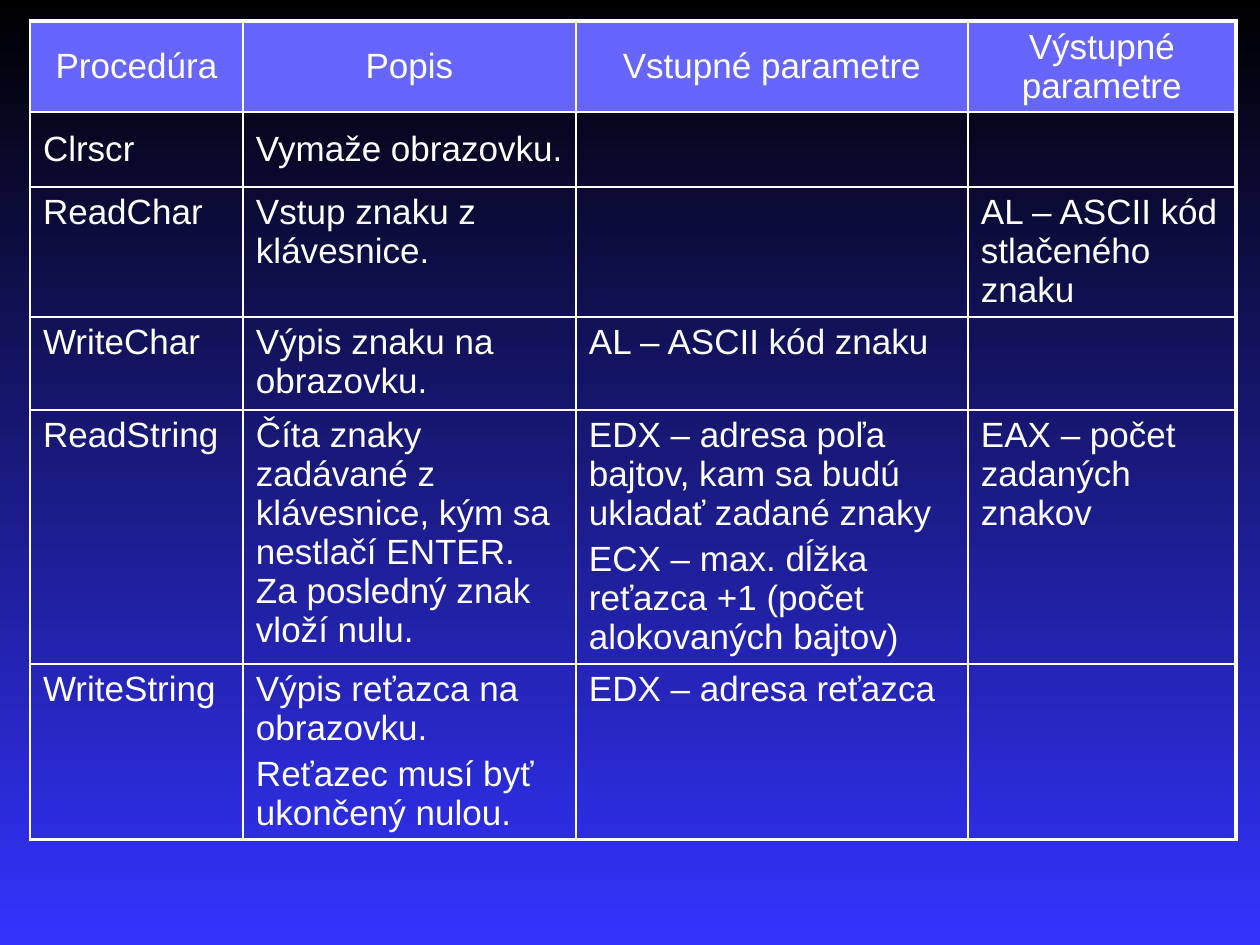
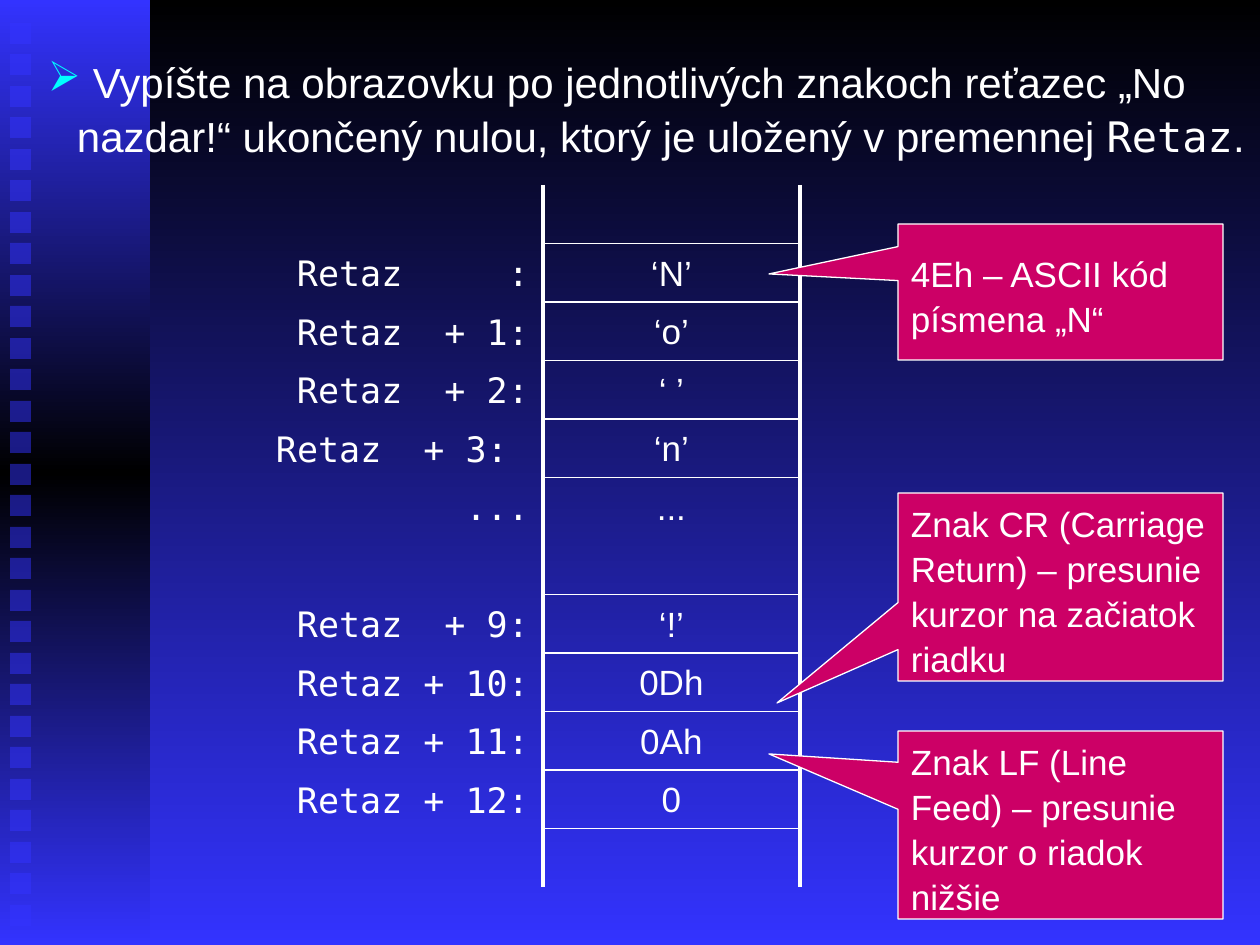
from dataclasses import dataclass
from typing import NamedTuple

from pptx import Presentation
from pptx.dml.color import RGBColor
from pptx.enum.shapes import MSO_SHAPE as Preset
from pptx.enum.text import MSO_ANCHOR as Anchor, PP_ALIGN as Align
from pptx.oxml import parse_xml
from pptx.oxml.ns import nsdecls, qn
from pptx.util import Emu, Pt

EMU_PER_PX = 914400 // 126
SLIDE_W, SLIDE_H = 1260, 945

BLACK, WHITE, BLUE = "000000", "FFFFFF", "3333FF"
HEADER_BLUE, MAGENTA, CYAN = "6666FF", "CC0066", "00FFFF"
SANS, MONO = "Arial", "DejaVu Sans Mono"
THIN, THICK = 1, 2.25
INSETS = (13, 11, 13, 6)
CELL_INSETS = (13, 6, 13, 6)
LOOSE_LINES = 1.07


class Span(NamedTuple):
    text: str
    font: str = SANS


class Borders(NamedTuple):
    left: float = 0
    right: float = 0
    top: float = 0
    bottom: float = 0


@dataclass
class Callout:
    text: str
    top: int
    height: int
    tip: tuple[int, int]


@dataclass
class MemoryRow:
    label: str = ""
    value: str = ""
    shift: int = 0
    closed: bool = True


# Content
HEADINGS = ["Procedúra", "Popis", "Vstupné parametre", "Výstupné parametre"]
PROCEDURES = [
    ["Clrscr", "Vymaže obrazovku.", "", ""],
    ["ReadChar", "Vstup znaku z klávesnice.", "", "AL – ASCII kód stlačeného znaku"],
    ["WriteChar", "Výpis znaku na obrazovku.", "AL – ASCII kód znaku", ""],
    ["ReadString",
     "Číta znaky zadávané z klávesnice, kým sa nestlačí ENTER. Za posledný znak vloží nulu.",
     "EDX – adresa poľa bajtov, kam sa budú ukladať zadané znaky\n"
     "ECX – max. dĺžka reťazca +1 (počet alokovaných bajtov)",
     "EAX – počet zadaných znakov"],
    ["WriteString", "Výpis reťazca na obrazovku.\nReťazec musí byť ukončený nulou.",
     "EDX – adresa reťazca", ""],
]
PROCEDURE_COLS = [213, 333, 392, 268]
PROCEDURE_ROWS = [91, 75, 130, 93, 254, 176]

TASK = [
    Span(" Vypíšte na obrazovku po jednotlivých znakoch reťazec „No nazdar!“ "
         "ukončený nulou, ktorý je uložený v premennej "),
    Span("Retaz", MONO),
    Span("."),
]
MEMORY = [
    MemoryRow(),
    MemoryRow("Retaz\t:", "‘N’"),
    MemoryRow("Retaz\t+ 1:", "‘o’"),
    MemoryRow("Retaz\t+ 2:", "‘ ’"),
    MemoryRow("Retaz\t+ 3:", "‘n’", shift=-21),
    MemoryRow("\t...", "...", closed=False),
    MemoryRow(),
    MemoryRow("Retaz\t+ 9:", "‘!’"),
    MemoryRow("Retaz\t+ 10:", "0Dh"),
    MemoryRow("Retaz\t+ 11:", "0Ah"),
    MemoryRow("Retaz\t+ 12:", "0"),
    MemoryRow(closed=False),
]
CALLOUTS = [
    Callout("4Eh – ASCII kód písmena „N“", 224, 136, (769, 274)),
    Callout("Znak CR (Carriage Return) – presunie kurzor na začiatok riadku",
            493, 188, (777, 703)),
    Callout("Znak LF (Line Feed) – presunie kurzor o riadok nižšie",
            731, 188, (769, 754)),
]


# Helpers
def px(length: int) -> Emu:
    return Emu(length * EMU_PER_PX)


def colour(hex_code: str) -> RGBColor:
    return RGBColor.from_string(hex_code)


def write(frame, content, *, size=20, font=SANS, color=WHITE, align=Align.LEFT,
          line_spacing=None, space_before=4, bullet=None, hanging=0, right_tab=0):
    """Fill a text frame from a string (one paragraph a line) or a list of spans."""
    if isinstance(content, str):
        paragraphs = [[Span(line, font)] for line in content.split("\n")]
    else:
        paragraphs = [content]
    for index, spans in enumerate(paragraphs):
        paragraph = frame.add_paragraph() if index else frame.paragraphs[0]
        paragraph.alignment = align
        if line_spacing:
            paragraph.line_spacing = line_spacing
        if index:
            paragraph.space_before = Pt(space_before)
        props = paragraph._p.get_or_add_pPr()
        if bullet:
            props.set("marL", str(px(hanging)))
            props.set("indent", str(-px(hanging)))
            props.append(parse_xml(
                f'<a:buClr {nsdecls("a")}><a:srgbClr val="{CYAN}"/></a:buClr>'))
            props.append(parse_xml(f'<a:buChar {nsdecls("a")} char="{bullet}"/>'))
        if right_tab:
            props.append(parse_xml(
                f'<a:tabLst {nsdecls("a")}><a:tab pos="{px(right_tab)}" algn="r"/></a:tabLst>'))
        for span in spans:
            run = paragraph.add_run()
            run.text = span.text
            run.font.size = Pt(size)
            run.font.name = span.font
            run.font.color.rgb = colour(color)


def set_insets(holder, insets: tuple[int, int, int, int]) -> None:
    for side, length in zip(("left", "top", "right", "bottom"), insets):
        setattr(holder, f"margin_{side}", px(length))


def set_gradient(fill, owner, colours: list[str]) -> None:
    """Spread the colours evenly from top to bottom."""
    fill.solid()
    solid = next(owner.iter(qn("a:solidFill")))
    step = 100000 // (len(colours) - 1)
    stops = "".join(f'<a:gs pos="{i * step}"><a:srgbClr val="{c}"/></a:gs>'
                    for i, c in enumerate(colours))
    solid.getparent().replace(solid, parse_xml(
        f'<a:gradFill {nsdecls("a")} rotWithShape="1"><a:gsLst>{stops}</a:gsLst>'
        '<a:lin ang="5400000" scaled="0"/></a:gradFill>'))


def set_borders(cell, borders: Borders) -> None:
    props = cell._tc.get_or_add_tcPr()
    for index, (side, width) in enumerate(zip("LRTB", borders)):
        paint = (f'<a:solidFill><a:srgbClr val="{WHITE}"/></a:solidFill>'
                 if width else "<a:noFill/>")
        props.insert(index, parse_xml(
            f'<a:ln{side} {nsdecls("a")} w="{Pt(width)}">{paint}</a:ln{side}>'))


def style_cell(cell, borders: Borders, insets=CELL_INSETS, fill=None) -> None:
    set_insets(cell, insets)
    if fill:
        cell.fill.solid()
        cell.fill.fore_color.rgb = colour(fill)
    else:
        cell.fill.background()
    set_borders(cell, borders)


def add_grid(slide, left: int, top: int, cols: list[int], rows: int, height: int):
    table = slide.shapes.add_table(rows, len(cols), px(left), px(top),
                                   px(sum(cols)), px(height)).table
    table.first_row = table.horz_banding = False
    for column, width in zip(table.columns, cols):
        column.width = px(width)
    return table


def add_block(slide, preset, left: int, top: int, width: int, height: int, fill: str):
    block = slide.shapes.add_shape(preset, px(left), px(top), px(width), px(height))
    block.shadow.inherit = False
    block.fill.solid()
    block.fill.fore_color.rgb = colour(fill)
    block.line.fill.background()
    return block


def new_slide(deck):
    slide = deck.slides.add_slide(deck.slide_layouts[6])
    set_gradient(slide.background.fill, slide.element, [BLACK, BLUE])
    return slide


# Slide parts
def add_side_band(slide) -> None:
    band = add_block(slide, Preset.RECTANGLE, 0, 0, 150, SLIDE_H, BLUE)
    set_gradient(band.fill, band.element, [BLUE, BLACK, BLUE])
    for index in range(29):
        square = add_block(slide, Preset.RECTANGLE, 10, 23 + index * 63 // 2, 21, 21, BLUE)
        tint = next(square.element.iter(qn("a:srgbClr")))
        tint.append(parse_xml(f'<a:alpha {nsdecls("a")} val="50000"/>'))


def add_procedures(slide) -> None:
    grid = add_grid(slide, 30, 21, PROCEDURE_COLS, len(PROCEDURE_ROWS), sum(PROCEDURE_ROWS))
    last_row, last_col = len(PROCEDURE_ROWS) - 1, len(PROCEDURE_COLS) - 1
    for r, texts in enumerate([HEADINGS, *PROCEDURES]):
        grid.rows[r].height = px(PROCEDURE_ROWS[r])
        for c, text in enumerate(texts):
            cell = grid.cell(r, c)
            style_cell(cell, Borders(THIN,
                                     THICK if c == last_col else THIN,
                                     THICK if r == 0 else THIN,
                                     THICK if r == last_row else THIN),
                       fill=HEADER_BLUE if r == 0 else None)
            cell.vertical_anchor = Anchor.MIDDLE if r < 2 else Anchor.TOP
            if text:
                write(cell.text_frame, text, align=Align.LEFT if r else Align.CENTER)


def add_memory(slide) -> None:
    grid = add_grid(slide, 243, 185, [300, 257], len(MEMORY), 702)
    line_above = 0
    for r, row in enumerate(MEMORY):
        line_below = THIN if row.closed else 0
        label, value = grid.cell(r, 0), grid.cell(r, 1)
        style_cell(label, Borders(right=THICK), insets=(54 + row.shift, 11, 0, 6))
        style_cell(value, Borders(THICK, THICK, line_above, line_below), insets=INSETS)
        if row.label:
            write(label.text_frame, row.label, font=MONO, right_tab=232)
            write(value.text_frame, row.value, align=Align.CENTER)
        line_above = line_below


def add_task(slide) -> None:
    frame = slide.shapes.add_textbox(px(35), px(42), px(1225), px(196)).text_frame
    frame.word_wrap = True
    set_insets(frame, INSETS)
    write(frame, TASK, size=24, line_spacing=LOOSE_LINES, bullet="➢", hanging=29)


def add_callout(slide, callout: Callout) -> None:
    left, width = 898, 325
    bubble = add_block(slide, Preset.RECTANGULAR_CALLOUT, left, callout.top,
                       width, callout.height, MAGENTA)
    bubble.line.color.rgb = colour(WHITE)
    bubble.line.width = Pt(0.75)
    tip_x, tip_y = callout.tip
    bubble.adjustments[0] = (tip_x - left) / width - 0.5
    bubble.adjustments[1] = (tip_y - callout.top) / callout.height - 0.5
    frame = bubble.text_frame
    frame.word_wrap = True
    frame.vertical_anchor = Anchor.MIDDLE
    set_insets(frame, INSETS)
    write(frame, callout.text, line_spacing=LOOSE_LINES)


def main() -> None:
    deck = Presentation()
    deck.slide_width, deck.slide_height = px(SLIDE_W), px(SLIDE_H)

    # Slide 1: procedure overview
    add_procedures(new_slide(deck))

    # Slide 2: the string in memory
    memory_slide = new_slide(deck)
    add_side_band(memory_slide)
    add_memory(memory_slide)
    add_task(memory_slide)
    for callout in CALLOUTS:
        add_callout(memory_slide, callout)

    deck.save("out.pptx")


if __name__ == "__main__":
    main()
